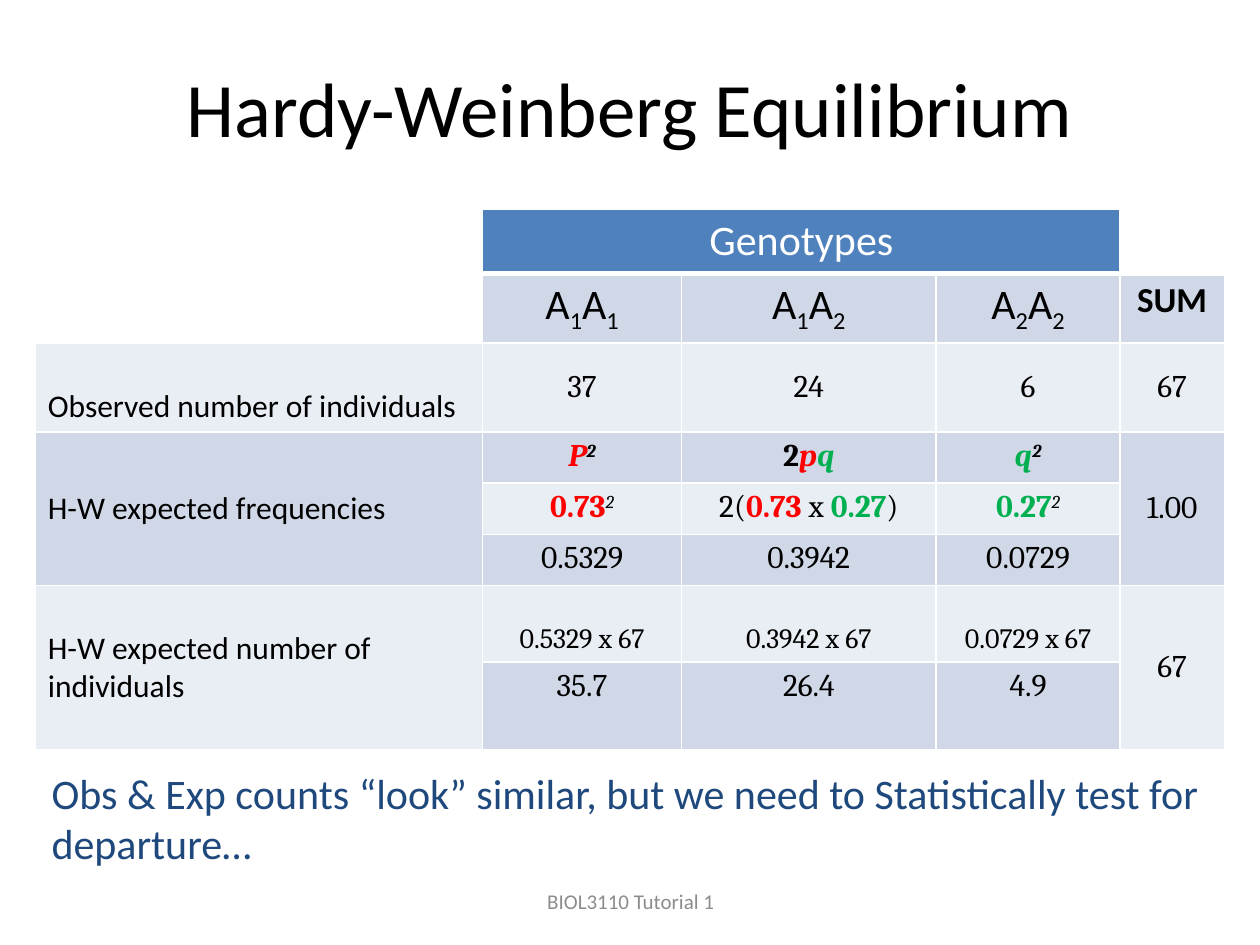
from lxml import etree
from pptx import Presentation
from pptx import util as u
from pptx.dml.color import RGBColor
from pptx.enum import text
from pptx.oxml import ns

BLACK, WHITE, RED, GREEN = "000000", "FFFFFF", "FF0000", "00B050"
HEADER, DARK_BAND, LIGHT_BAND = "4F81BD", "D0D8E8", "E9EDF4"
TOP, MIDDLE, BOTTOM = (text.MSO_ANCHOR.TOP, text.MSO_ANCHOR.MIDDLE,
                       text.MSO_ANCHOR.BOTTOM)
LEFT, CENTER = text.PP_ALIGN.LEFT, text.PP_ALIGN.CENTER
COL_WIDTHS = [9.02, 4.01, 5.13, 3.71, 2.1]
ROW_HEIGHTS = [1.28, 1.4, 1.8, 1.03, 1.03, 1.03, 1.55, 1.76]


def rgb(color):
    return RGBColor.from_string(color)


def add_run(p, words, size=18, font="Calibri", color=BLACK, bold=False,
            italic=False, baseline=0):
    r = p.add_run()
    r.text = words
    r.font.size = u.Pt(size)
    r.font.name = font
    r.font.color.rgb = rgb(color)
    r.font.bold = bold
    r.font.italic = italic
    if baseline:
        r._r.get_or_add_rPr().set("baseline", str(baseline * 1000))


def add_title(slide, words):
    sp = slide.shapes.title
    sp.left, sp.top, sp.width, sp.height = map(u.Cm, (1.27, 0.56, 22.86, 3.18))
    add_run(sp.text_frame.paragraphs[0], words, 44)


def add_text(slide, box, words, size, color, align=LEFT, anchor=TOP):
    sp = slide.shapes.add_textbox(*map(u.Cm, box))
    tf = sp.text_frame
    tf.word_wrap = True
    tf.vertical_anchor = anchor
    p = tf.paragraphs[0]
    p.alignment = align
    add_run(p, words, size, color=color)


def set_borders(cell, row):
    tc_pr = cell._tc.get_or_add_tcPr()
    for side in "LRTB":
        thick = (row, side) in ((0, "B"), (1, "T"))
        ln = etree.SubElement(tc_pr, ns.qn("a:ln" + side),
                              w=str(u.Pt(3 if thick else 1)))
        fill = etree.SubElement(ln, ns.qn("a:solidFill"))
        etree.SubElement(fill, ns.qn("a:srgbClr"), val=WHITE)


def fill_color(row, col):
    if (row < 2 and col == 0) or (row == 0 and col == 4):
        return WHITE
    if row == 0:
        return HEADER
    return DARK_BAND if row % 2 else LIGHT_BAND


def add_grid(slide):
    frame = slide.shapes.add_table(
        len(ROW_HEIGHTS), len(COL_WIDTHS), u.Cm(0.71), u.Cm(4.22),
        u.Cm(sum(COL_WIDTHS)), u.Cm(sum(ROW_HEIGHTS)))
    table = frame.table
    for column, width in zip(table.columns, COL_WIDTHS):
        column.width = u.Cm(width)
    for row, height in zip(table.rows, ROW_HEIGHTS):
        row.height = u.Cm(height)
    for r in range(len(ROW_HEIGHTS)):
        for c in range(len(COL_WIDTHS)):
            cell = table.cell(r, c)
            set_borders(cell, r)
            cell.fill.solid()
            cell.fill.fore_color.rgb = rgb(fill_color(r, c))
    for first, last in (((0, 1), (0, 3)), ((3, 0), (5, 0)), ((3, 4), (5, 4)),
                        ((6, 0), (7, 0)), ((6, 4), (7, 4))):
        table.cell(*first).merge(table.cell(*last))
    return table


def write_cell(table, row, col, runs, anchor=TOP, align=CENTER, **style):
    cell = table.cell(row, col)
    cell.vertical_anchor = anchor
    p = cell.text_frame.paragraphs[0]
    p.alignment = align
    for words, own in runs:
        add_run(p, words, **{**style, **own})


def write_row(table, row, values, first_col=1, **style):
    for col, value in enumerate(values, first_col):
        runs = [(value, {})] if isinstance(value, str) else value
        write_cell(table, row, col, runs, **style)


def genotype(first, second):
    sub = {"baseline": -25}
    return [("A", {}), (first, sub), ("A", {}), (second, sub)]


def write_headings(table):
    write_row(table, 0, ["Genotypes"], size=24, color=WHITE)
    write_row(table, 1, [genotype("1", "1"), genotype("1", "2"),
                         genotype("2", "2")], size=24)
    write_row(table, 1, ["SUM"], first_col=4, size=20, bold=True)
    for row, label, anchor in (
            (2, "Observed number of individuals", BOTTOM),
            (3, "H-W expected frequencies", MIDDLE),
            (6, "H-W expected number of individuals", MIDDLE)):
        write_row(table, row, [label], first_col=0, anchor=anchor, align=LEFT)


def write_values(table):
    p_color, q_color = {"color": RED}, {"color": GREEN}
    p_value, q_value = {**p_color, "bold": True}, {**q_color, "bold": True}
    power = {"baseline": 30, "italic": True}
    serif = {"font": "Cambria"}
    write_row(table, 2, ["37", "24", "6", "67"], anchor=MIDDLE, **serif)
    write_row(table, 3, [
        [("P", p_color), ("2", power)],
        [("2", {"italic": False}), ("p", p_color), ("q", q_color)],
        [("q", q_color), ("2", power)],
    ], bold=True, italic=True, **serif)
    write_row(table, 4, [
        [("0.73", p_value), ("2", power)],
        [("2(", {}), ("0.73", p_value), (" x ", {}), ("0.27", q_value),
         (")", {})],
        [("0.27", q_value), ("2", power)],
    ], **serif)
    frequencies = ["0.5329", "0.3942", "0.0729"]
    write_row(table, 5, frequencies, **serif)
    write_row(table, 6, [f"{value} x 67" for value in frequencies],
              anchor=BOTTOM, size=16, **serif)
    write_row(table, 7, ["35.7", "26.4", "4.9"], **serif)
    for row, total in ((3, "1.00"), (6, "67")):
        write_row(table, row, [total], first_col=4, anchor=MIDDLE, **serif)


def main():
    prs = Presentation()
    prs.slide_width, prs.slide_height = u.Cm(25.4), u.Cm(19.05)
    slide = prs.slides.add_slide(prs.slide_layouts[5])
    add_title(slide, "Hardy-Weinberg Equilibrium")
    table = add_grid(slide)
    write_headings(table)
    write_values(table)
    add_text(slide, (0.79, 15.34, 23.85, 2.31),
             "Obs & Exp counts “look” similar, but we need to "
             "Statistically test for departure…", 24, "1F497D")
    add_text(slide, (8.69, 17.65, 8.05, 1.02), "BIOL3110 Tutorial 1", 12,
             "8C8C8C", CENTER, MIDDLE)
    prs.save("out.pptx")


if __name__ == "__main__":
    main()
